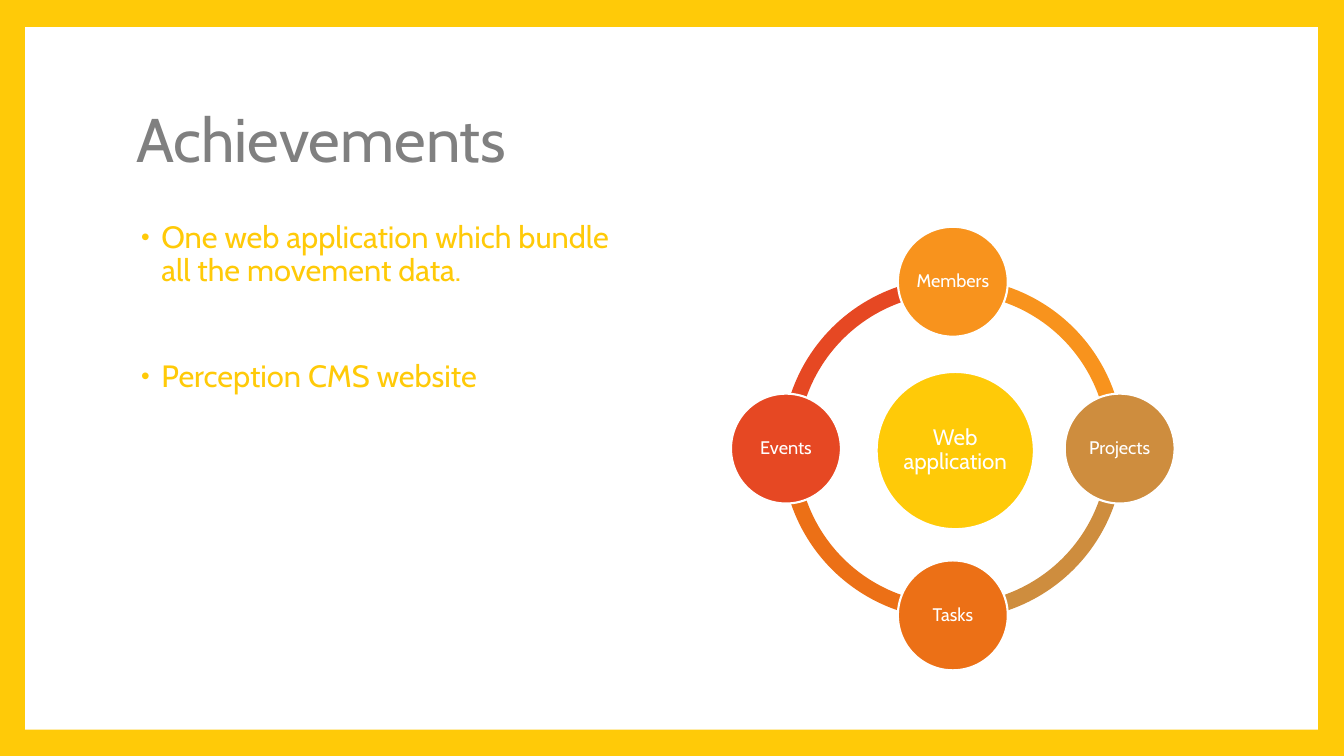
from math import cos, pi, sin

from lxml import etree
from pptx import Presentation
from pptx.dml.color import RGBColor
from pptx.enum.shapes import MSO_SHAPE
from pptx.enum.text import MSO_ANCHOR, MSO_AUTO_SIZE, PP_ALIGN
from pptx.oxml.ns import qn
from pptx.util import Inches, Pt

RECT, OVAL, ARC = MSO_SHAPE.RECTANGLE, MSO_SHAPE.OVAL, MSO_SHAPE.BLOCK_ARC
LEFT, CENTER = PP_ALIGN.LEFT, PP_ALIGN.CENTER
MIDDLE, TOP = MSO_ANCHOR.MIDDLE, MSO_ANCHOR.TOP
FIXED = MSO_AUTO_SIZE.NONE

CELL = Inches(0.1)  # grid of 133.3 columns by 75 rows
FONT = "Cabin"
GOLD, WHITE, GREY = "FFCA08", "FFFFFF", "808080"
QUARTER, TURN = 54, 216  # arc adjustments for 90 and 360 degrees
HUB = (94.5, 44.5)
ORBIT, RING, NODE, CORE = 16.55, 33.9, 10.9, 15.6
NODES = [("Members", "F8931D"), ("Projects", "CE8D3E"),
         ("Tasks", "EC7016"), ("Events", "E64823")]
POINTS = [("One web application which bundle all the movement data.", 14),
          ("Perception CMS website", 52)]


def paint(target, color):
    """Fill a shape or background solidly with a hex colour."""
    target.fill.solid()
    target.fill.fore_color.rgb = RGBColor.from_string(color)


def style(para, size, color, align):
    """Format one paragraph and its runs."""
    para.alignment = align
    para.line_spacing = 0.9
    for run in para.runs:
        run.font.name = FONT
        run.font.size = Pt(size)
        run.font.color.rgb = RGBColor.from_string(color)


def place(holder, col, row, cols, rows, anchor):
    """Move a placeholder to a grid area and return its text frame."""
    holder.left, holder.top = round(col * CELL), round(row * CELL)
    holder.width, holder.height = round(cols * CELL), round(rows * CELL)
    frame = holder.text_frame
    frame.word_wrap = True
    frame.auto_size = FIXED
    frame.vertical_anchor = anchor
    return frame


def shape(shapes, kind, col, row, cols, rows, color):
    """Add a flat filled shape on the grid."""
    item = shapes.add_shape(kind, *(round(n * CELL)
                                    for n in (col, row, cols, rows)))
    item.shadow.inherit = False
    paint(item, color)
    item.line.fill.background()
    return item


def round_at(shapes, kind, x, y, size, color):
    """Add a shape of equal width and height centred on a grid point."""
    return shape(shapes, kind, x - size / 2, y - size / 2, size, size, color)


def disc(shapes, x, y, size, color, text, points):
    """Add a labelled circle with a white outline."""
    item = round_at(shapes, OVAL, x, y, size, color)
    item.line.color.rgb = RGBColor.from_string(WHITE)
    item.line.width = Pt(1.5)
    frame = item.text_frame
    frame.word_wrap = True
    frame.vertical_anchor = MIDDLE
    frame.margin_left = frame.margin_right = Inches(0.02)
    frame.margin_top = frame.margin_bottom = Inches(0.02)
    frame.text = text
    style(frame.paragraphs[0], points, WHITE, CENTER)


def bullet(para, color):
    """Give a paragraph a hanging dot bullet."""
    props = para._p.get_or_add_pPr()
    props.set("marL", str(Inches(0.25)))
    props.set("indent", str(-Inches(0.2)))
    tint = etree.SubElement(props, qn("a:buClr"))
    etree.SubElement(tint, qn("a:srgbClr"), val=color)
    etree.SubElement(props, qn("a:buSzPct"), val="80000")
    etree.SubElement(props, qn("a:buFont"), typeface="Arial")
    etree.SubElement(props, qn("a:buChar"), char="\u2022")


def panel(slide):
    """Lay the white panel behind everything on the gold background."""
    paint(slide.background, GOLD)
    item = shape(slide.shapes, RECT, 2.5, 2.7, 128.2, 69.7, WHITE)
    slide.shapes._spTree.insert(2, item._element)


def words(slide):
    """Fill the title and the bullet list."""
    title, body = slide.placeholders
    frame = place(title, 12.5, 6.7, 108, 14.8, MIDDLE)
    frame.text = "Achievements"
    style(frame.paragraphs[0], 44, GREY, LEFT)
    frame = place(body, 12.5, 21.5, 52, 44, TOP)
    frame.text = "\n".join(text for text, _ in POINTS)
    for para, (_, gap) in zip(frame.paragraphs, POINTS):
        style(para, 22, GOLD, LEFT)
        para.space_before = Pt(gap)
        bullet(para, GOLD)


def cycle(slide):
    """Draw the ring of nodes clockwise from the top around the core."""
    shapes = slide.shapes.add_group_shape().shapes
    x, y = HUB
    for i, (_, color) in enumerate(NODES):
        arc = round_at(shapes, ARC, x, y, RING, color)
        start = (i - 1) * QUARTER % TURN
        arc.adjustments[0] = start
        arc.adjustments[1] = (start + QUARTER) % TURN
        arc.adjustments[2] = 0.046
    disc(shapes, x + 0.25, y + 0.2, CORE, GOLD, "Web application", 16)
    for i, (text, color) in enumerate(NODES):
        turn = i * pi / 2
        disc(shapes, x + ORBIT * sin(turn), y - ORBIT * cos(turn),
             NODE, color, text, 13)


def main():
    """Build the slide and save it."""
    deck = Presentation()
    deck.slide_width, deck.slide_height = Inches(13.33), Inches(7.5)
    slide = deck.slides.add_slide(deck.slide_layouts[1])
    panel(slide)
    words(slide)
    cycle(slide)
    deck.save("out.pptx")


main()
